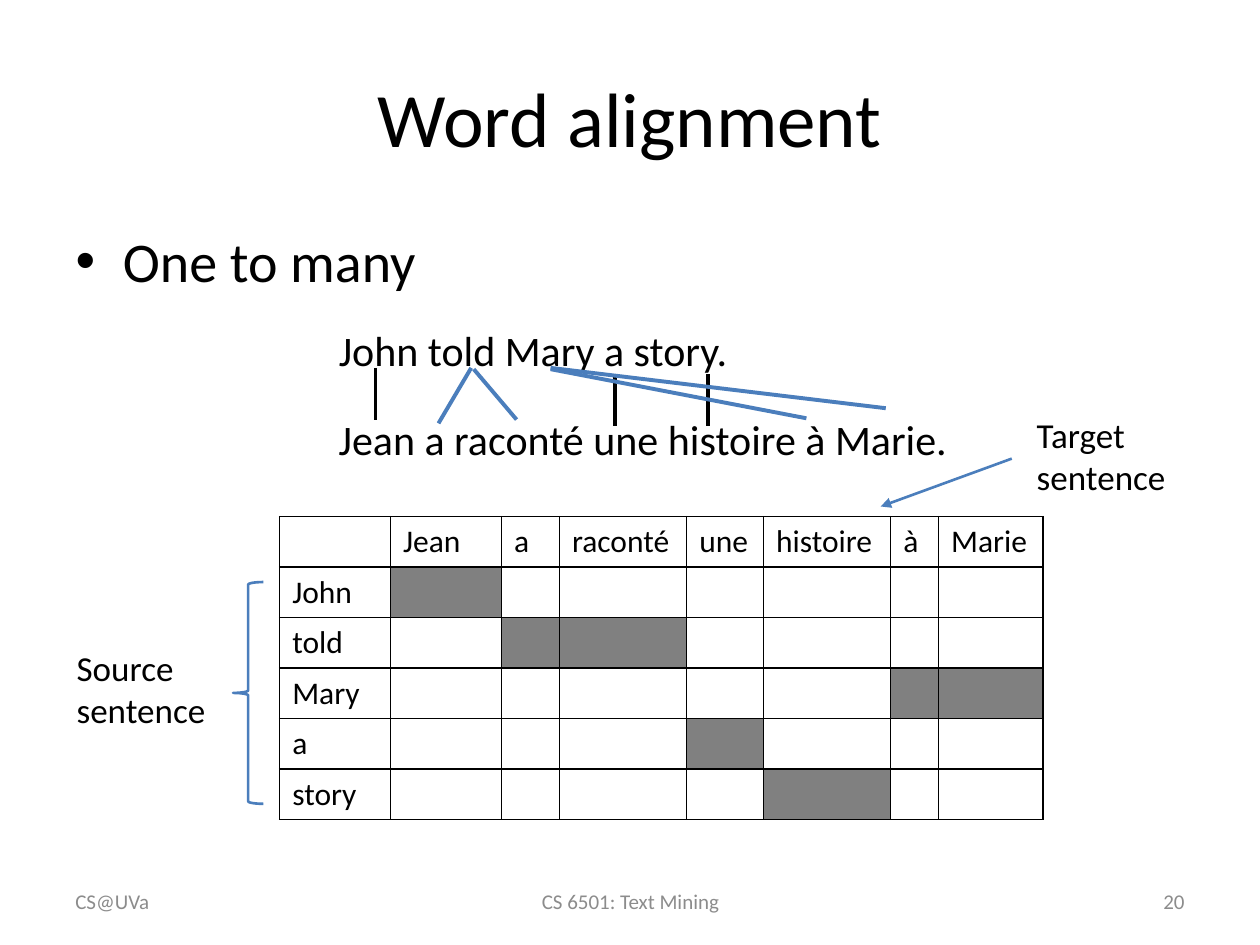
from dataclasses import dataclass

from lxml import etree
from pptx import Presentation
from pptx import util as u
from pptx.dml.color import RGBColor
from pptx.enum import shapes, text
from pptx.oxml import ns


@dataclass(frozen=True)
class Theme:
    font: str = "Calibri"
    ink: str = "000000"
    accent: str = "4B7EBC"
    aligned: str = "808080"
    muted: str = "8C8C8C"
    title: int = 44
    bullet: int = 32
    sentence: int = 24
    label: int = 20
    cell: int = 18
    footer: int = 12


class SlideBuilder:
    def __init__(self, deck, theme):
        self.theme = theme
        self.slide = deck.slides.add_slide(deck.slide_layouts[1])

    def set_text(self, frame, words, size, color=None, align=None):
        para = frame.paragraphs[0]
        para.text = words
        para.space_before = u.Pt(0)
        para.alignment = align
        para.font.name = self.theme.font
        para.font.size = u.Pt(size)
        para.font.color.rgb = RGBColor.from_string(color or self.theme.ink)

    def placeholder(self, index, words, size, area, align=None):
        holder = self.slide.placeholders[index]
        holder.left, holder.top, holder.width, holder.height = map(u.Inches, area)
        self.set_text(holder.text_frame, words, size, align=align)

    def textbox(self, words, size, area, wrap=True, color=None, align=None,
                anchor=text.MSO_ANCHOR.TOP):
        box = self.slide.shapes.add_textbox(*map(u.Inches, area))
        box.text_frame.word_wrap = wrap
        box.text_frame.vertical_anchor = anchor
        self.set_text(box.text_frame, words, size, color, align)

    def line(self, start, end, color, width, arrow=False):
        connector = self.slide.shapes.add_connector(
            shapes.MSO_CONNECTOR.STRAIGHT, *map(u.Inches, start + end))
        connector.line.color.rgb = RGBColor.from_string(color)
        connector.line.width = u.Pt(width)
        if arrow:
            outline = connector.line._get_or_add_ln()
            etree.SubElement(outline, ns.qn("a:tailEnd"), type="triangle")
        etree.SubElement(connector._element.spPr, ns.qn("a:effectLst"))

    def brace(self, area):
        brace = self.slide.shapes.add_shape(
            shapes.MSO_SHAPE.LEFT_BRACE, *map(u.Inches, area))
        brace.shadow.inherit = False
        brace.fill.background()
        brace.line.color.rgb = RGBColor.from_string(self.theme.accent)
        brace.line.width = u.Pt(1.5)

    def border(self, cell):
        properties = cell._tc.get_or_add_tcPr()
        for position, side in enumerate(("lnL", "lnR", "lnT", "lnB")):
            edge = etree.Element(ns.qn(f"a:{side}"), w=str(u.Pt(1)))
            fill = etree.SubElement(edge, ns.qn("a:solidFill"))
            etree.SubElement(fill, ns.qn("a:srgbClr"), val=self.theme.ink)
            properties.insert(position, edge)

    def alignment_table(self, left, top, widths, row_height, target, links):
        rows = len(links) + 1
        grid = self.slide.shapes.add_table(
            rows, len(widths), u.Inches(left), u.Inches(top),
            u.Inches(sum(widths)), u.Inches(rows * row_height)).table
        grid.first_row = grid.horz_banding = False
        for column, width in zip(grid.columns, widths):
            column.width = u.Inches(width)
        for row in grid.rows:
            row.height = u.Inches(row_height)
        for cell in grid.iter_cells():
            cell.fill.background()
            self.border(cell)
        for column, word in enumerate(target, 1):
            self.set_text(grid.cell(0, column).text_frame, word, self.theme.cell)
        for row, (word, matches) in enumerate(links, 1):
            self.set_text(grid.cell(row, 0).text_frame, word, self.theme.cell)
            for match in matches:
                fill = grid.cell(row, target.index(match) + 1).fill
                fill.solid()
                fill.fore_color.rgb = RGBColor.from_string(self.theme.aligned)


def main():
    deck = Presentation()
    deck.slide_width, deck.slide_height = u.Inches(10), u.Inches(7.5)
    theme = Theme()
    page = SlideBuilder(deck, theme)
    align = text.PP_ALIGN

    # Title and bullet
    page.placeholder(0, "Word alignment", theme.title, (0.5, 0.3, 9, 1.25),
                     align.CENTER)
    page.placeholder(1, "One to many", theme.bullet, (0.5, 1.75, 9, 4.95))

    # Sentence pair
    page.textbox("John told Mary a story.", theme.sentence,
                 (2.59, 2.53, 3.31, 0.5), wrap=False)
    page.textbox("Jean a raconté une histoire à Marie.", theme.sentence,
                 (2.59, 3.23, 5.07, 0.5), wrap=False)

    # Word links: black for one to one, blue for one to many
    for x, y in ((2.98, 2.92), (4.88, 2.97), (5.62, 2.97)):
        page.line((x, y), (x, y + 0.41), theme.ink, 2.25)
    for start, end in (((3.74, 2.92), (3.48, 3.36)),
                       ((3.76, 2.93), (4.1, 3.33)),
                       ((4.37, 2.93), (6.4, 3.32)),
                       ((4.37, 2.92), (7.03, 3.24))):
        page.line(start, end, theme.accent, 2.25)

    # Labels for the two sides of the table
    page.textbox("Source sentence", theme.label, (0.51, 5.08, 1.57, 0.77))
    page.textbox("Target sentence", theme.label, (8.13, 3.23, 1.57, 0.77))
    page.brace((1.85, 4.62, 0.24, 1.76))
    page.line((8.03, 3.64), (6.99, 4.02), theme.accent, 1.5, arrow=True)

    # Alignment table
    target = ["Jean", "a", "raconté", "une", "histoire", "à", "Marie"]
    links = [("John", ["Jean"]), ("told", ["a", "raconté"]),
             ("Mary", ["à", "Marie"]), ("a", ["une"]), ("story", ["histoire"])]
    widths = [0.88, 0.88, 0.46, 1.01, 0.61, 1.01, 0.38, 0.83]
    page.alignment_table(2.22, 4.1, widths, 0.4, target, links)

    # Footer
    for words, left, width, side in (
            ("CS@UVa", 0.5, 2.33, align.LEFT),
            ("CS 6501: Text Mining", 3.42, 3.17, align.CENTER),
            ("20", 7.17, 2.33, align.RIGHT)):
        page.textbox(words, theme.footer, (left, 6.95, width, 0.4),
                     color=theme.muted, align=side,
                     anchor=text.MSO_ANCHOR.MIDDLE)

    deck.save("out.pptx")


if __name__ == "__main__":
    main()
